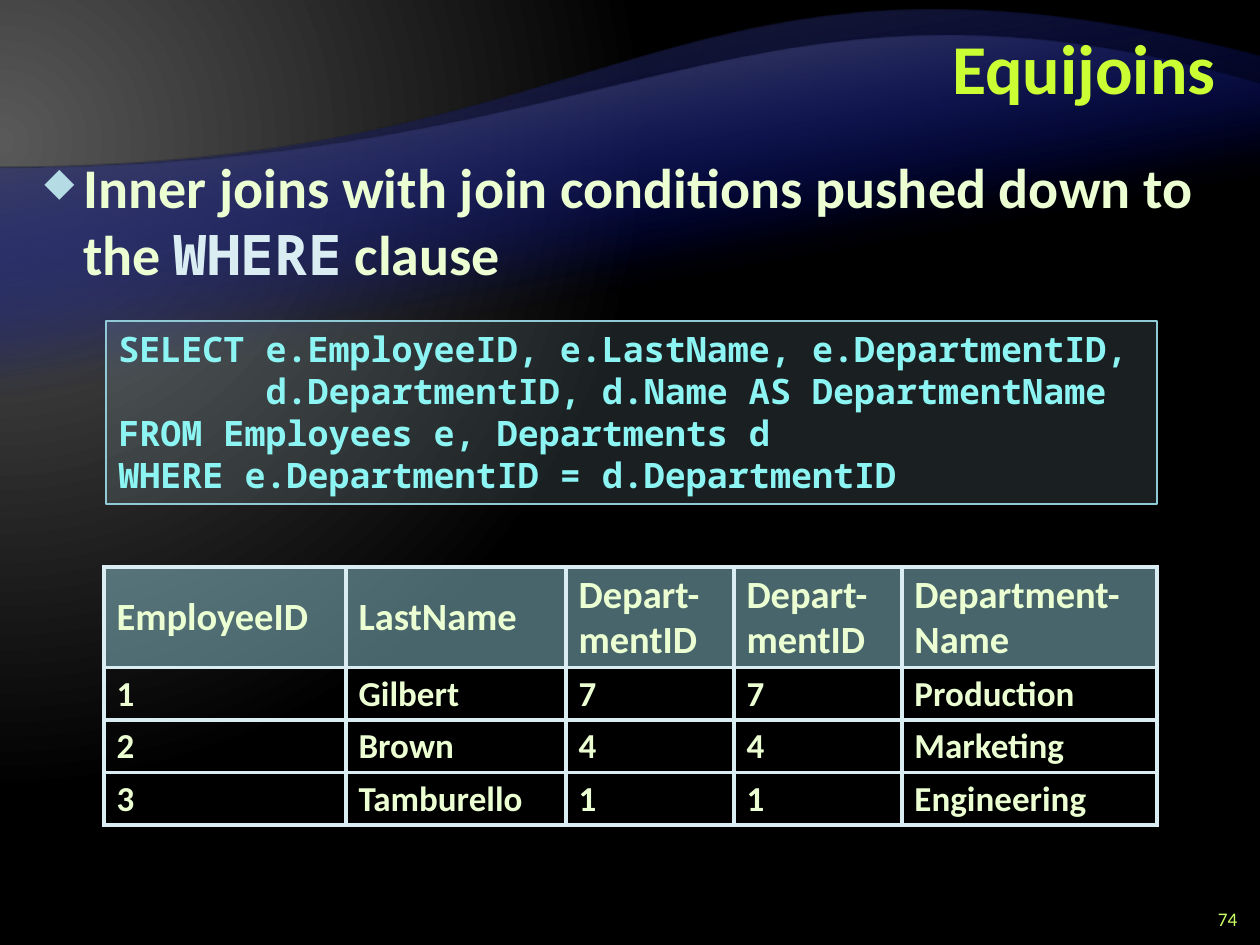
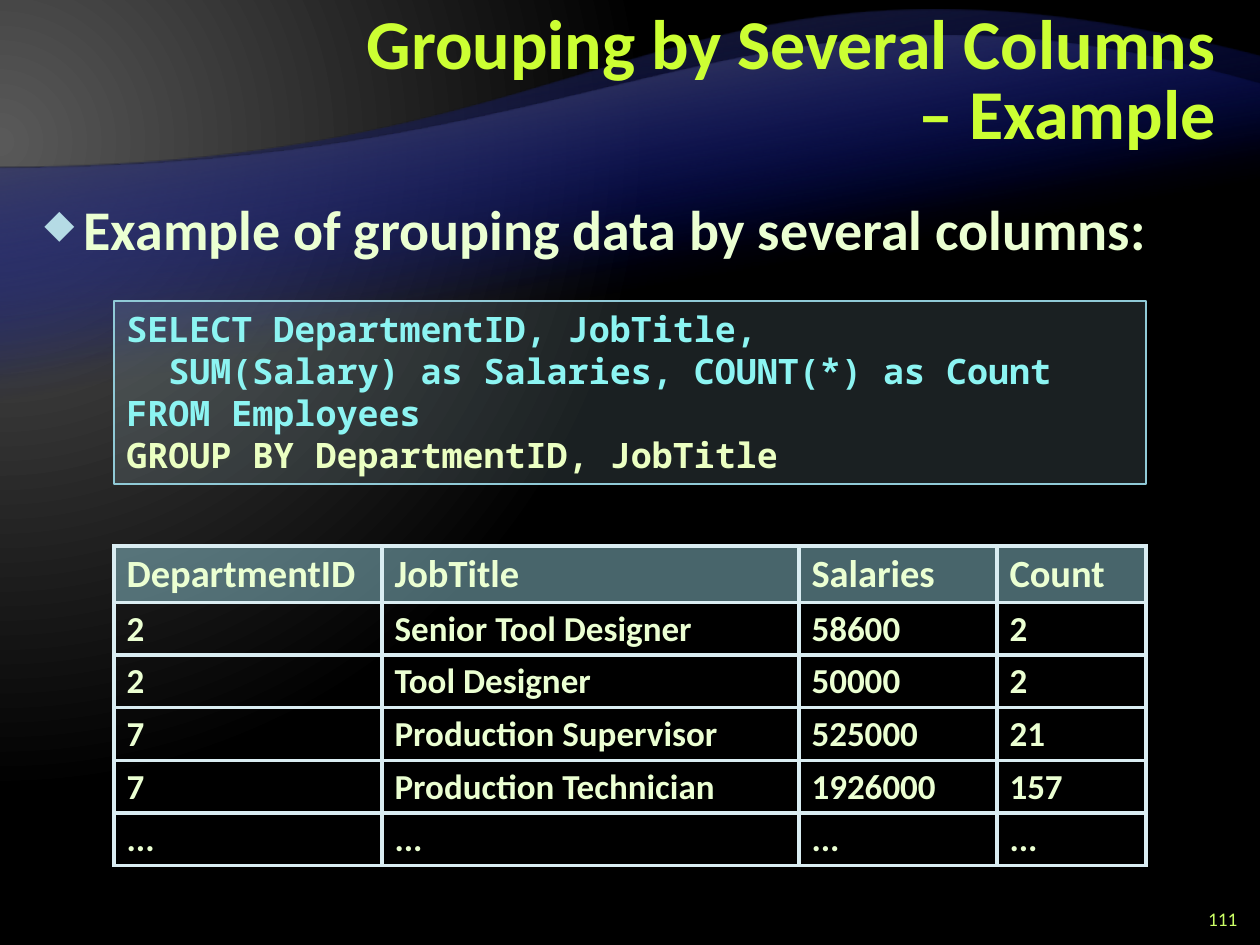
from dataclasses import dataclass

from pptx import Presentation
from pptx.dml.color import RGBColor as Rgb
from pptx.enum.shapes import MSO_SHAPE as Shape
from pptx.enum.text import MSO_ANCHOR as Anchor, MSO_AUTO_SIZE as Fit, PP_ALIGN as Align
from pptx.oxml import parse_xml
from pptx.oxml.ns import nsdecls, qn
from pptx.util import Pt

PX = 914400 / 126  # EMU in one px
WIDE, HIGH = 1260, 945


def emu(*sizes):
    return [round(size * PX) for size in sizes]


def font(name, size, color, bold=True):
    return {"name": name, "size": Pt(size), "bold": bold, "color": color}


@dataclass(frozen=True)
class Theme:
    sans = "Calibri"
    mono = "Noto Sans Mono"
    ice = "DAEDF2"
    sky = "90CAD7"
    pale = "B5DBE5"
    glow = ((0, "595959", 100), (83, "000000", 100))
    waves = (
        # top, base, second control point, colour at the crest
        (57, 823, (673, -94), "262626"),
        (84, 702, (753, -62), "595959"),
    )
    deep = "000D9E"
    title = font(sans, 40, "CCFF33")
    body = font(sans, 32, "EBFFD2")
    term = font(mono, 32, ice)
    code = font(mono, 20, "8CF4F2")
    hot = font(mono, 20, "EBFFC2")
    head = font(sans, 22, "EBFFD2")
    cell = font(sans, 20, "EBFFD2")
    page = font(sans, 11, "CCFF66", False)


def apply(item, values):
    for name, value in values.items():
        setattr(item, name, value)


def xml(tag, inner="", attrs=""):
    return parse_xml(f"<a:{tag} {nsdecls('a')} {attrs}>{inner}</a:{tag}>")


def blend(fill, root, stops, shade):
    """Give root a gradient of (percent, colour, alpha) stops."""
    fill.gradient()
    old = root.find(".//" + qn("a:gradFill"))
    marks = "".join(
        f'<a:gs pos="{at * 1000}"><a:srgbClr val="{color}">'
        f'<a:alpha val="{alpha * 1000}"/></a:srgbClr></a:gs>'
        for at, color, alpha in stops)
    new = xml("gradFill", f"<a:gsLst>{marks}</a:gsLst>{shade}", 'rotWithShape="1"')
    old.getparent().replace(old, new)


def tint(fill, root, color, alpha):
    """Give root a solid fill that shows alpha percent."""
    fill.solid()
    fill.fore_color.rgb = Rgb.from_string(color)
    tone = root.find(qn("a:solidFill") + "/" + qn("a:srgbClr"))
    tone.append(xml("alpha", attrs=f'val="{alpha * 1000}"'))


def write(para, runs, **form):
    apply(para, form)
    for text, style in runs:
        run = para.add_run()
        run.text = text
        look = dict(style)
        run.font.color.rgb = Rgb.from_string(look.pop("color"))
        apply(run.font, look)


class Deck:
    def __init__(self, theme):
        self.theme = theme
        self.file = Presentation()
        size = emu(WIDE, HIGH)
        apply(self.file, dict(zip(("slide_width", "slide_height"), size)))
        self.slide = None

    def add(self, number):
        """Start a slide with its backdrop and page number."""
        self.slide = self.file.slides.add_slide(self.file.slide_layouts[6])
        blend(self.slide.background.fill, self.slide.element, self.theme.glow,
              '<a:path path="circle"><a:fillToRect l="20000" t="30000" '
              'r="135000" b="100000"/></a:path>')
        for wave in self.theme.waves:
            self.wave(*wave)
        frame = self.text((1187, 903, 63, 32), Anchor.MIDDLE)
        write(frame.paragraphs[0], [(str(number), self.theme.page)],
              alignment=Align.RIGHT)

    def wave(self, top, base, bend, crest):
        """Draw a band upside down, then turn it so its gradient rises."""
        def flip(x, y):
            return WIDE - x, top + base - y

        pen = self.slide.shapes.build_freeform(*flip(WIDE, base), scale=PX)
        points = [flip(0, base), flip(0, 168), flip(WIDE, top)]
        pen.add_line_segments(points, close=True)
        band = pen.convert_to_shape()
        side = band.element.findall(".//" + qn("a:lnTo"))[2]
        pulls = [flip(630, 168), flip(*bend), points[-1]]
        curve = "".join(f'<a:pt x="{x}" y="{y - top}"/>' for x, y in pulls)
        side.getparent().replace(side, xml("cubicBezTo", curve))
        blend(band.fill, band.element,
              ((65, self.theme.deep, 0), (100, crest, 100)),
              '<a:lin ang="4800000" scaled="0"/>')
        band.line.fill.background()
        band.shadow.inherit = False
        band.rotation = 180

    def text(self, box, anchor=Anchor.TOP):
        frame = self.slide.shapes.add_textbox(*emu(*box)).text_frame
        apply(frame, {"word_wrap": True, "vertical_anchor": anchor})
        return frame

    def title(self, box, text):
        frame = self.text(box, Anchor.MIDDLE)
        write(frame.paragraphs[0], [(text, self.theme.title)],
              alignment=Align.RIGHT, line_spacing=Pt(40))

    def bullet(self, box, runs):
        para = self.text(box).paragraphs[0]
        props = para._p.get_or_add_pPr()
        dent = emu(39)[0]
        for name, value in (("marL", dent), ("indent", -dent)):
            props.set(name, str(value))
        props.append(xml("buClr", f'<a:srgbClr val="{self.theme.pale}"/>'))
        props.append(xml("buSzPct", attrs='val="70000"'))
        props.append(xml("buChar", attrs='char="◆"'))
        write(para, runs, line_spacing=Pt(38), space_after=Pt(6))

    def code(self, box, lines):
        panel = self.slide.shapes.add_shape(Shape.RECTANGLE, *emu(*box))
        panel.shadow.inherit = False
        tint(panel.fill, panel.element.spPr, self.theme.pale, 15)
        panel.line.color.rgb = Rgb.from_string(self.theme.sky)
        panel.line.width = Pt(1)
        frame = panel.text_frame
        apply(frame, {"word_wrap": True, "vertical_anchor": Anchor.TOP,
                      "auto_size": Fit.SHAPE_TO_FIT_TEXT})
        for index, line in enumerate(lines):
            para = frame.add_paragraph() if index else frame.paragraphs[0]
            write(para, [line], alignment=Align.LEFT)

    def table(self, left, top, cols, rows):
        high = 48
        box = emu(left, top, sum(cols), high * len(rows))
        frame = self.slide.shapes.add_table(len(rows), len(cols), *box)
        grid = frame.table
        apply(grid, {"first_row": False, "horz_banding": False})
        for col, width in zip(grid.columns, emu(*cols)):
            col.width = width
        nodes = frame.element.iter(qn("a:tc"))
        for index, row in enumerate(rows):
            for cell, text, node in zip(grid.rows[index].cells, row, nodes):
                self.cell(cell, node.get_or_add_tcPr(), text, index == 0)

    def cell(self, cell, props, text, head):
        style = self.theme.head if head else self.theme.cell
        write(cell.text_frame.paragraphs[0], [(text, style)], line_spacing=0.95)
        if head:
            cell.vertical_anchor = Anchor.MIDDLE
            tint(cell.fill, props, self.theme.sky, 50)
        else:
            cell.fill.background()
        edge = f'<a:solidFill><a:srgbClr val="{self.theme.ice}"/></a:solidFill>'
        for spot, side in enumerate("LRTB"):
            props.insert(spot, xml(f"ln{side}", edge, f'w="{Pt(2.25)}"'))


def joins(deck):
    theme = deck.theme
    deck.add(74)
    deck.title((252, 10, 976, 126), "Equijoins")
    deck.bullet((32, 147, 1184, 752), [
        ("Inner joins with join conditions pushed down to the ", theme.body),
        ("WHERE", theme.term),
        (" clause", theme.body)])
    deck.code((106, 321, 1051, 183), [(line, theme.code) for line in (
        "SELECT e.EmployeeID, e.LastName, e.DepartmentID,",
        "       d.DepartmentID, d.Name AS DepartmentName",
        "FROM Employees e, Departments d",
        "WHERE e.DepartmentID = d.DepartmentID")])
    deck.table(104, 567, (242, 220, 168, 168, 255), (
        ("EmployeeID", "LastName", "Depart-mentID", "Depart-mentID",
         "Department-Name"),
        ("1", "Gilbert", "7", "7", "Production"),
        ("2", "Brown", "4", "4", "Marketing"),
        ("3", "Tamburello", "1", "1", "Engineering")))


def groups(deck):
    theme = deck.theme
    deck.add(111)
    deck.title((346, 21, 882, 126), "Grouping by Several Columns – Example")
    deck.bullet((32, 189, 1197, 735), [
        ("Example of grouping data by several columns:", theme.body)])
    deck.code((114, 301, 1032, 183), [
        ("SELECT DepartmentID, JobTitle,", theme.code),
        ("  SUM(Salary) as Salaries, COUNT(*) as Count", theme.code),
        ("FROM Employees", theme.code),
        ("GROUP BY DepartmentID, JobTitle", theme.hot)])
    deck.table(114, 546, (268, 417, 198, 149), (
        ("DepartmentID", "JobTitle", "Salaries", "Count"),
        ("2", "Senior Tool Designer", "58600", "2"),
        ("2", "Tool Designer", "50000", "2"),
        ("7", "Production Supervisor", "525000", "21"),
        ("7", "Production Technician", "1926000", "157"),
        ("...",) * 4))


def main():
    deck = Deck(Theme())
    joins(deck)
    groups(deck)
    deck.file.save("out.pptx")


if __name__ == "__main__":
    main()
